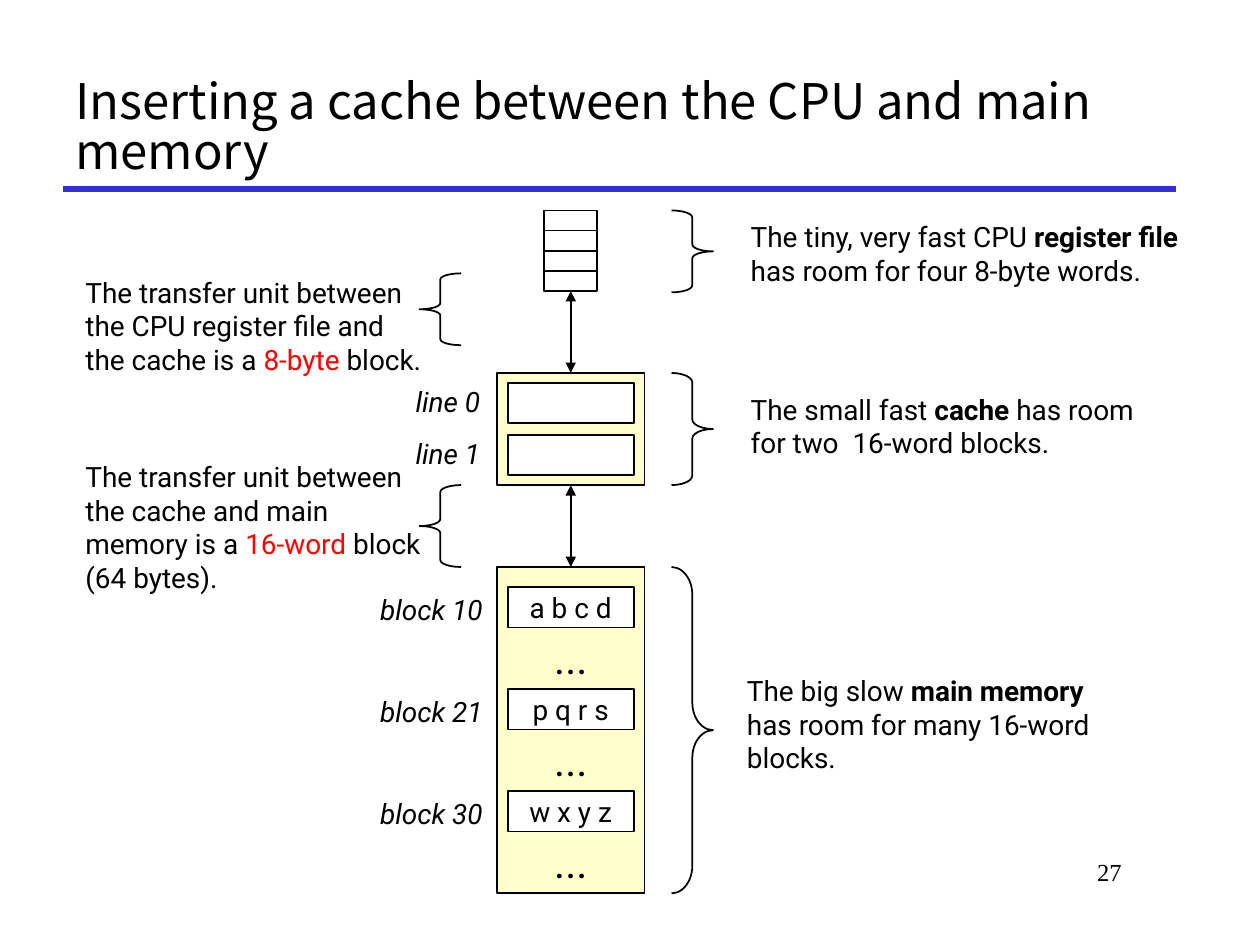
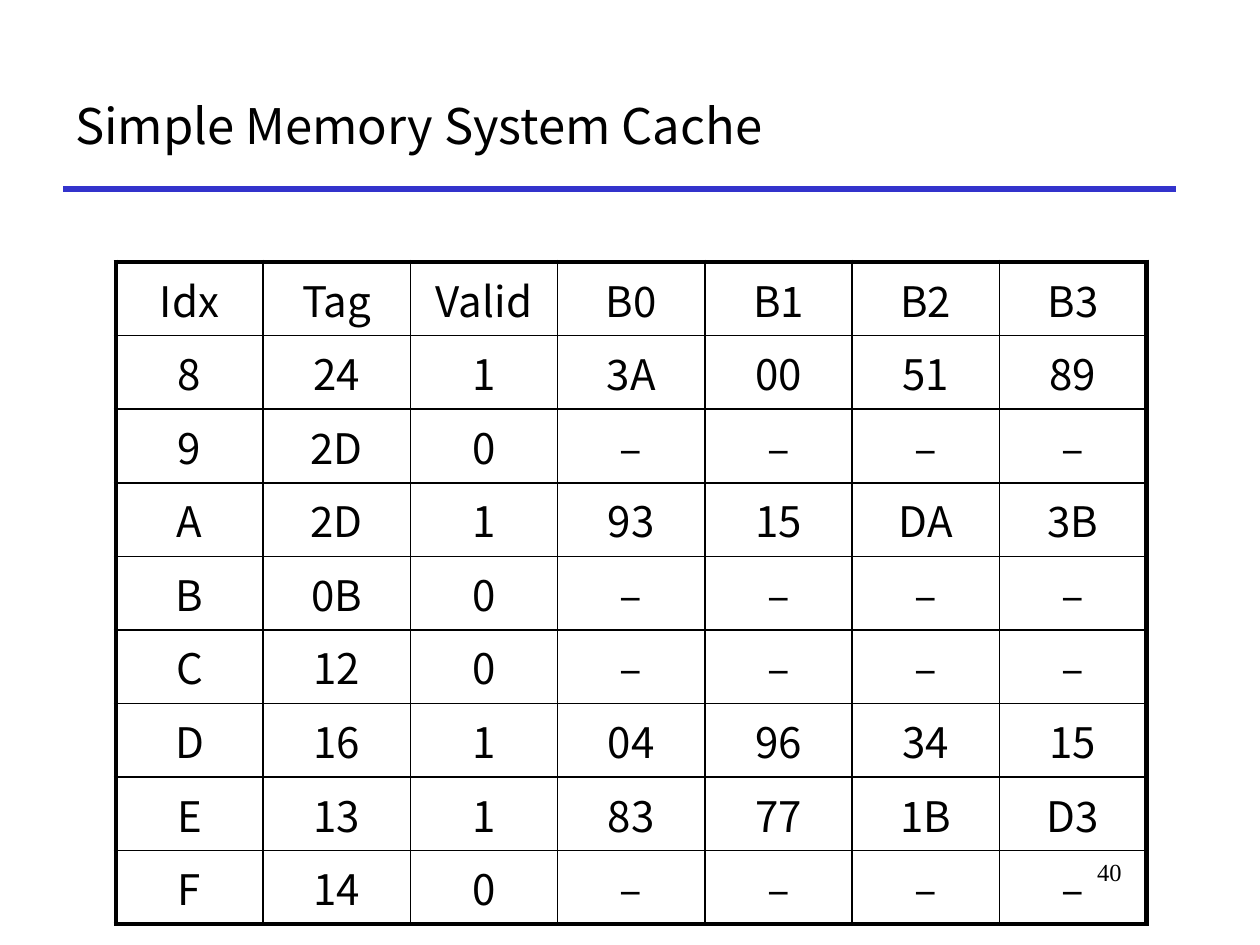
from dataclasses import dataclass

from lxml.etree import SubElement
from pptx import Presentation
from pptx.dml.color import RGBColor as RGB
from pptx.enum.shapes import MSO_CONNECTOR as CONN, MSO_SHAPE as SHAPE
from pptx.enum.text import MSO_ANCHOR as ANCHOR, MSO_AUTO_SIZE as FIT, PP_ALIGN as ALIGN
from pptx.oxml.ns import qn
from pptx.util import Inches, Pt


@dataclass(frozen=True)
class Theme:
    ink: str = "000000"
    rule: str = "3333CC"
    memory: str = "FFFF99"
    paper: str = "FFFFFF"
    accent: str = "FF0000"
    title_font: str = "Noto Sans CJK KR"
    body_font: str = "Roboto"
    number_font: str = "Times New Roman"
    title: int = 28
    cell: int = 24
    dots: int = 24
    body: int = 16
    number: int = 14
    thin: int = 1
    thick: int = 3


T = Theme()

HIERARCHY = {"title": "Inserting a cache between the CPU and main memory", "number": "27"}
CACHE = {"title": "Simple Memory System Cache", "number": "40"}

NOTES = [
    (5.86, 1.69, 3.74, 0.64, [
        [("The tiny, very fast CPU ", ""), ("register file", "bold")],
        [("has room for four 8-byte words.", "")],
    ]),
    (5.86, 3.06, 3.3, 0.64, [
        [("The small fast ", ""), ("cache ", "bold"), ("has room", "")],
        [("for two  16-word blocks.", "")],
    ]),
    (5.83, 5.29, 2.98, 0.91, [
        [("The big slow ", ""), ("main memory", "bold")],
        [("has room for many 16-word", "")],
        [("blocks.", "")],
    ]),
    (0.58, 2.13, 2.92, 0.91, [
        [("The transfer unit between", "")],
        [("the CPU register file and", "")],
        [("the cache is a ", ""), ("8-byte", "accent"), (" block.", "")],
    ]),
    (0.58, 3.59, 2.88, 1.18, [
        [("The transfer unit between", "")],
        [("the cache and main", "")],
        [("memory is a ", ""), ("16-word", "accent"), (" block", "")],
        [("(64 bytes).", "")],
    ]),
]
CACHE_LINES = ["line 0", "line 1"]
MEMORY_BLOCKS = [("block 10", "a b c d"), ("block 21", "p q r s"), ("block 30", "w x y z")]

CACHE_ROWS = [
    ("Idx", "Tag", "Valid", "B0", "B1", "B2", "B3"),
    ("8", "24", "1", "3A", "00", "51", "89"),
    ("9", "2D", "0", "–", "–", "–", "–"),
    ("A", "2D", "1", "93", "15", "DA", "3B"),
    ("B", "0B", "0", "–", "–", "–", "–"),
    ("C", "12", "0", "–", "–", "–", "–"),
    ("D", "16", "1", "04", "96", "34", "15"),
    ("E", "13", "1", "83", "77", "1B", "D3"),
    ("F", "14", "0", "–", "–", "–", "–"),
]

AXIS = 4.53
REGISTERS, REGISTER_W, REGISTER_H, REGISTER_TOP = 4, 0.42, 0.16, 1.67
STORE_W = 1.17
CACHE_TOP, CACHE_H = 2.96, 0.89
MEMORY_TOP, MEMORY_H = 4.5, 2.59
SLOT_W, SLOT_H = 1, 0.32
LINE_TOP, LINE_STEP = 3.04, 0.41
BLOCK_TOP, BLOCK_STEP = 4.66, 0.81
BRACE_W, BRACE_CURVE = 0.33, 0.257
LEFT_BRACES = [(2.17, 0.57), (3.85, 0.65)]
RIGHT_BRACES = [(REGISTER_TOP, 0.65), (CACHE_TOP, CACHE_H), (MEMORY_TOP, MEMORY_H)]


def set_font(font, name, size, italic=False):
    font.name, font.size, font.italic = name, Pt(size), italic
    font.color.rgb = RGB.from_string(T.ink)


def write(tf, lines, name, size, align=ALIGN.LEFT, italic=False):
    for i, runs in enumerate(lines):
        p = tf.add_paragraph() if i else tf.paragraphs[0]
        p.alignment = align
        for text, style in runs:
            r = p.add_run()
            r.text = text
            if style == "bold":
                r.font.bold = True
            elif style == "accent":
                r.font.color.rgb = RGB.from_string(T.accent)
        set_font(p.font, name, size, italic)


def add_text(s, box, lines, name=T.body_font, size=T.body, **style):
    tf = s.shapes.add_textbox(*map(Inches, box)).text_frame
    tf.word_wrap = False
    tf.auto_size = FIT.SHAPE_TO_FIT_TEXT
    tf.vertical_anchor = ANCHOR.MIDDLE
    write(tf, lines, name, size, **style)
    return tf


def add_label(s, box, text, size=T.body, italic=True):
    add_text(s, box, [[(text, "")]], size=size, align=ALIGN.CENTER, italic=italic)


def add_outline(s, kind, left, top, width, height, fill=None):
    sp = s.shapes.add_shape(kind, *map(Inches, (left, top, width, height)))
    sp.shadow.inherit = False
    sp.line.color.rgb = RGB.from_string(T.ink)
    sp.line.width = Pt(T.thin)
    if fill:
        sp.fill.solid()
        sp.fill.fore_color.rgb = RGB.from_string(fill)
    else:
        sp.fill.background()
    return sp


def add_centred(s, top, width, height, fill=None):
    return add_outline(s, SHAPE.RECTANGLE, AXIS - width / 2, top, width, height, fill)


def add_store(s, top, height):
    sp = add_centred(s, top, STORE_W, height, T.memory)
    colour = sp.fill._xPr.find(qn("a:solidFill"))[0]
    SubElement(colour, qn("a:alpha"), val="50000")
    return sp


def add_slot(s, top, text=""):
    tf = add_centred(s, top, SLOT_W, SLOT_H, T.paper).text_frame
    tf.word_wrap = False
    tf.vertical_anchor = ANCHOR.MIDDLE
    if text:
        write(tf, [[(text, "")]], T.body_font, T.body, ALIGN.CENTER)


def add_brace(s, kind, left, top, height):
    sp = add_outline(s, kind, left, top, BRACE_W, height)
    sp.adjustments[0] = height * BRACE_CURVE
    sp.adjustments[1] = 0.5


def add_line(s, start, end, colour, width):
    c = s.shapes.add_connector(CONN.STRAIGHT, *map(Inches, start + end))
    c.line.color.rgb = RGB.from_string(colour)
    c.line.width = Pt(width)
    SubElement(c._element.spPr, qn("a:effectLst"))
    return c


def add_transfer(s, upper, lower):
    c = add_line(s, (AXIS, 0), (AXIS, 1), T.ink, T.thin)
    c.begin_connect(upper, 2)
    c.end_connect(lower, 0)
    ln = c.line._get_or_add_ln()
    for end in ("a:headEnd", "a:tailEnd"):
        SubElement(ln, qn(end), type="triangle")


def add_slide(prs, content):
    s = prs.slides.add_slide(prs.slide_layouts[6])
    add_line(s, (0.5, 1.5), (9.33, 1.5), T.rule, T.thick)
    tf = add_text(s, (7.58, 6.75, 1.42, 0.5), [[(content["number"], "")]],
                  T.number_font, T.number, align=ALIGN.RIGHT)
    tf.word_wrap, tf.auto_size, tf.vertical_anchor = True, FIT.NONE, ANCHOR.TOP
    tf = add_text(s, (0.5, 0.5, 8.83, 1), [[(content["title"], "")]], T.title_font, T.title)
    tf.word_wrap, tf.auto_size = True, FIT.NONE
    tf.margin_top, tf.margin_bottom = Inches(0.05), 0
    tf.paragraphs[0].line_spacing = 0.85
    return s


def build_hierarchy(prs):
    s = add_slide(prs, HIERARCHY)
    cache = add_store(s, CACHE_TOP, CACHE_H)
    memory = add_store(s, MEMORY_TOP, MEMORY_H)
    registers = [add_centred(s, REGISTER_TOP + i * REGISTER_H, REGISTER_W, REGISTER_H)
                 for i in range(REGISTERS)]
    for i, label in enumerate(CACHE_LINES):
        top = LINE_TOP + i * LINE_STEP
        add_slot(s, top)
        add_label(s, (3.19, top - 0.04, 0.73, 0.37), label)
    for i, (label, words) in enumerate(MEMORY_BLOCKS):
        top = BLOCK_TOP + i * BLOCK_STEP
        add_slot(s, top, words)
        add_label(s, (2.91, top - 0.01, 1.03, 0.37), label)
        add_label(s, (AXIS - 0.24, top + 0.31, 0.48, 0.5), "...", T.dots, False)
    add_transfer(s, registers[-1], cache)
    add_transfer(s, cache, memory)
    for top, height in LEFT_BRACES:
        add_brace(s, SHAPE.LEFT_BRACE, 3.33, top, height)
    for top, height in RIGHT_BRACES:
        add_brace(s, SHAPE.RIGHT_BRACE, 5.33, top, height)
    for *box, lines in NOTES:
        add_text(s, box, lines)


def add_borders(cell, outer):
    tc_pr = cell._tc.get_or_add_tcPr()
    for side in "LRTB":
        width = T.thick if outer[side] else T.thin
        ln = SubElement(tc_pr, qn("a:ln" + side), w=str(Pt(width)))
        SubElement(SubElement(ln, qn("a:solidFill")), qn("a:srgbClr"), val=T.ink)


def build_cache_table(prs):
    s = add_slide(prs, CACHE)
    n_rows, n_cols = len(CACHE_ROWS), len(CACHE_ROWS[0])
    table = s.shapes.add_table(n_rows, n_cols, *map(Inches, (0.92, 2.08, 8.18, 4.5))).table
    table.first_row = table.horz_banding = False
    for y, row in enumerate(CACHE_ROWS):
        for x, text in enumerate(row):
            cell = table.cell(y, x)
            write(cell.text_frame, [[(text, "")]], T.title_font, T.cell, ALIGN.CENTER)
            add_borders(cell, {"L": x == 0, "R": x == n_cols - 1,
                               "T": y == 0, "B": y == n_rows - 1})
            cell.fill.background()


def main():
    prs = Presentation()
    prs.slide_width, prs.slide_height = Inches(10), Inches(7.5)
    build_hierarchy(prs)
    build_cache_table(prs)
    prs.save("out.pptx")


if __name__ == "__main__":
    main()
